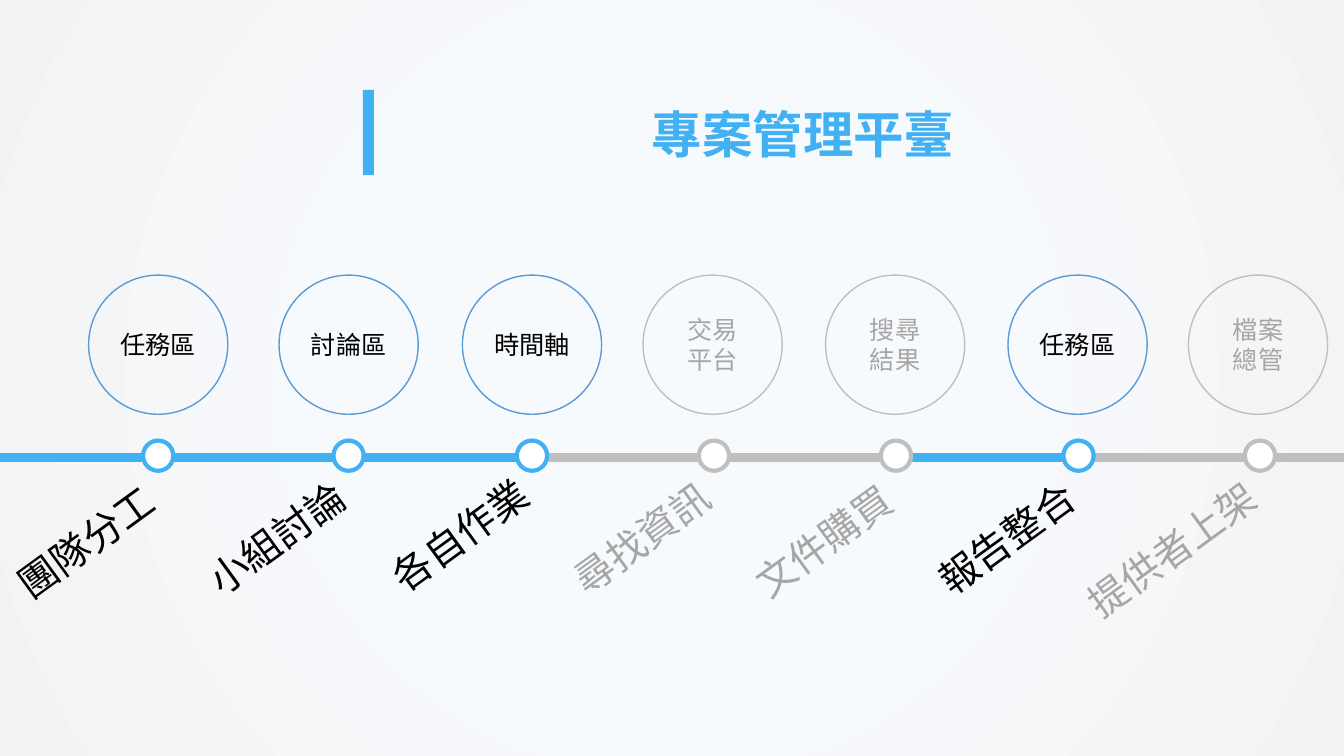
from dataclasses import dataclass

from lxml import etree
from pptx import Presentation
from pptx.dml.color import RGBColor
from pptx.enum.shapes import MSO_CONNECTOR as Connector, MSO_SHAPE as ShapeKind
from pptx.enum.text import MSO_ANCHOR as Anchor, MSO_AUTO_SIZE as AutoSize, PP_ALIGN as Align
from pptx.oxml import parse_xml
from pptx.oxml.ns import nsdecls, qn
from pptx.shapes.autoshape import Shape
from pptx.slide import Slide
from pptx.text.text import TextFrame
from pptx.util import Pt

FONT = "Arial"
BLUE, BLUE_OUTLINE, BLACK = "41B1F4", "5B9BD5", "000000"
GREY, GREY_TEXT, WHITE = "BFBFBF", "A6A6A6", "FFFFFF"

SLIDE_WIDTH, SLIDE_HEIGHT = 960, 540
AXIS_Y, NODE_Y, BUBBLE_Y = 326.9, 325.5, 246.2
NODE_SIZE, BUBBLE_SIZE = 21.6, 99.4
LABEL_SIZE, LABEL_HEIGHT, LABEL_ROTATION = 28, 41.2, 324


@dataclass
class Station:
    node_x: float
    bubble_x: float
    label_y: float
    label: str
    area: list[str]
    active: bool


@dataclass
class Segment:
    start: float
    end: float
    color: str


STATIONS = [
    Station(113, 113, 387, "團隊分工", ["任務區"], True),
    Station(249, 249, 384, "小組討論", ["討論區"], True),
    Station(380, 380, 382, "各自作業", ["時間軸"], True),
    Station(510, 509, 384, "尋找資訊", ["交易", "平台"], False),
    Station(640, 639.4, 386, "文件購買", ["搜尋", "結果"], False),
    Station(770.4, 769.7, 384, "報告整合", ["任務區"], True),
    Station(900, 898.6, 392, "提供者上架", ["檔案", "總管"], False),
]

SEGMENTS = [
    Segment(776, SLIDE_WIDTH, GREY),
    Segment(649.4, 777, BLUE),
    Segment(375, 644.4, GREY),
    Segment(0, 379.4, BLUE),
]


def rgb(color: str) -> RGBColor:
    return RGBColor.from_string(color)


def write(frame: TextFrame, lines: list[str], size: float, color: str,
          align: Align = Align.LEFT, bold: bool = False) -> None:
    for index, line in enumerate(lines):
        paragraph = frame.paragraphs[0] if index == 0 else frame.add_paragraph()
        paragraph.alignment = align
        run = paragraph.add_run()
        run.text = line
        run.font.name = FONT
        run.font.size = Pt(size)
        run.font.bold = bold
        run.font.color.rgb = rgb(color)


def add_circle(slide: Slide, x: float, y: float, size: float, line: str, weight: float) -> Shape:
    shape = slide.shapes.add_shape(
        ShapeKind.OVAL, Pt(x - size / 2), Pt(y - size / 2), Pt(size), Pt(size))
    shape.shadow.inherit = False
    shape.line.color.rgb = rgb(line)
    shape.line.width = Pt(weight)
    return shape


def add_segment(slide: Slide, segment: Segment) -> None:
    connector = slide.shapes.add_connector(
        Connector.STRAIGHT, Pt(segment.start), Pt(AXIS_Y), Pt(segment.end), Pt(AXIS_Y))
    connector.line.color.rgb = rgb(segment.color)
    connector.line.width = Pt(6)
    etree.SubElement(connector.element.spPr, qn("a:effectLst"))


def add_station(slide: Slide, station: Station) -> None:
    text_color = BLACK if station.active else GREY_TEXT

    # Node on the axis
    node = add_circle(slide, station.node_x, NODE_Y, NODE_SIZE,
                      BLUE if station.active else GREY, 3)
    node.fill.solid()
    node.fill.fore_color.rgb = rgb(WHITE)

    # Slanted label below, ending at the node
    width = LABEL_SIZE * len(station.label) + 15.4
    center_x = station.node_x - 0.4 * width
    label = slide.shapes.add_textbox(
        Pt(center_x - width / 2), Pt(station.label_y - LABEL_HEIGHT / 2),
        Pt(width), Pt(LABEL_HEIGHT))
    label.rotation = LABEL_ROTATION
    label.text_frame.word_wrap = False
    label.text_frame.auto_size = AutoSize.SHAPE_TO_FIT_TEXT
    write(label.text_frame, [station.label], LABEL_SIZE, text_color)

    # Bubble above
    bubble = add_circle(slide, station.bubble_x, BUBBLE_Y, BUBBLE_SIZE,
                        BLUE_OUTLINE if station.active else GREY, 1)
    bubble.fill.background()
    frame = bubble.text_frame
    frame.word_wrap = True
    frame.margin_left = frame.margin_right = 0
    frame.vertical_anchor = Anchor.MIDDLE
    write(frame, station.area, 18, text_color, Align.CENTER)


def set_background(slide: Slide) -> None:
    fill = slide.background.fill
    fill.gradient()
    for stop, position, color in zip(fill.gradient_stops, (0.42, 1), ("F7FAFD", "F2F2F2")):
        stop.position = position
        stop.color.rgb = rgb(color)
    gradient = next(slide.element.iter(qn("a:gradFill")))
    gradient.replace(gradient.find(qn("a:lin")), parse_xml(
        f'<a:path {nsdecls("a")} path="circle">'
        '<a:fillToRect l="50000" t="50000" r="50000" b="50000"/></a:path>'))


def add_title(slide: Slide) -> None:
    title = slide.shapes.title
    title.left, title.top, title.width, title.height = Pt(458.5), Pt(69.8), Pt(231), Pt(51)
    frame = title.text_frame
    frame.word_wrap = False
    frame.auto_size = AutoSize.NONE
    frame.vertical_anchor = Anchor.TOP
    write(frame, ["專案管理平臺"], 36, BLUE, bold=True)

    bar = slide.shapes.add_shape(ShapeKind.RECTANGLE, Pt(259.2), Pt(64.2), Pt(8), Pt(61))
    bar.shadow.inherit = False
    bar.fill.solid()
    bar.fill.fore_color.rgb = rgb(BLUE)
    bar.line.fill.background()


def main() -> None:
    presentation = Presentation()
    presentation.slide_width, presentation.slide_height = Pt(SLIDE_WIDTH), Pt(SLIDE_HEIGHT)
    title_only = presentation.slide_layouts.get_by_name("Title Only")
    slide = presentation.slides.add_slide(title_only)

    set_background(slide)
    add_title(slide)
    for segment in SEGMENTS:
        add_segment(slide, segment)
    for station in STATIONS:
        add_station(slide, station)

    presentation.save("out.pptx")


if __name__ == "__main__":
    main()
